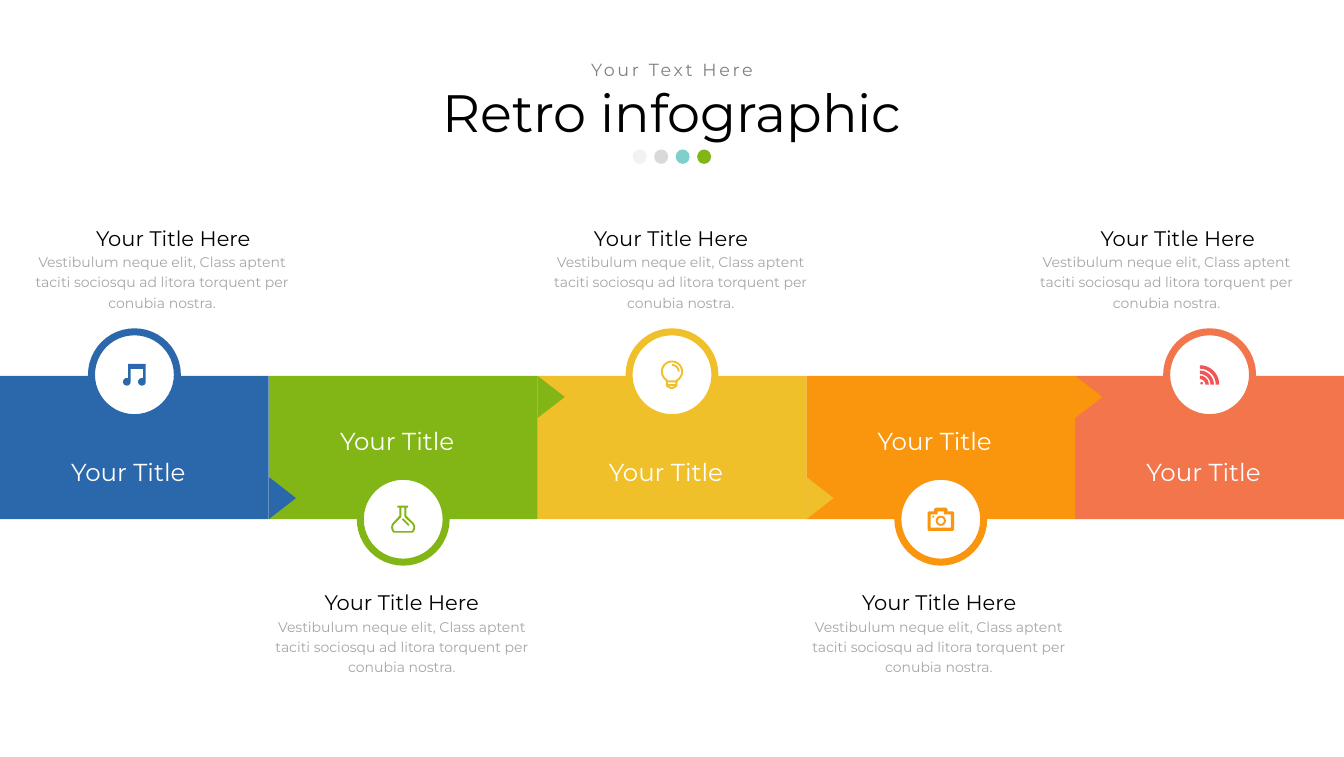
from dataclasses import dataclass
from math import cos, radians, sin

from lxml.etree import SubElement
from pptx import Presentation
from pptx.dml.color import RGBColor
from pptx.enum.shapes import MSO_SHAPE
from pptx.enum.text import MSO_ANCHOR, MSO_AUTO_SIZE, PP_ALIGN
from pptx.oxml.ns import qn
from pptx.util import Pt


@dataclass(frozen=True)
class Theme:
    """Font, type sizes and colours of the slide."""
    font: str = "Montserrat"
    title_size: int = 60
    subtitle_size: int = 20
    band_size: int = 28
    heading_size: int = 24
    body_size: int = 16
    black: str = "000000"
    white: str = "FFFFFF"
    subtitle: str = "808080"
    body: str = "A6A6A6"
    blue: str = "2B68AB"
    green: str = "82B617"
    yellow: str = "F0C02B"
    orange: str = "F9960E"
    coral: str = "F2754B"
    red: str = "F05455"
    dots: tuple = (("F2F2F2", 100), ("D9D9D9", 98), ("00A39B", 50), ("82B617", 100))


THEME = Theme()
WIDTH, HEIGHT = 1533.6, 864
BAND_TOP, BAND_HEIGHT = 429, 163.6
ICON_UNIT = 0.72
BODY = "Vestibulum neque elit, Class aptent taciti sociosqu ad litora torquent per conubia nostra."


def arc(x, y, radius, start, end):
    """Return points along an arc, with angles in degrees clockwise from the right."""
    angles = [radians(start + (end - start) * step / 24) for step in range(25)]
    return [(x + radius * cos(angle), y + radius * sin(angle)) for angle in angles]


def ring(x, y, outer, inner, start, end):
    """Return the outline of a part of a ring."""
    return arc(x, y, outer, start, end) + arc(x, y, inner, end, start)


MUSIC = [[(8, 0), (36, 0)] + arc(30, 28.5, 6, 0, 290) + [(32, 8), (12, 8)] + arc(6, 28.5, 6, 0, 290)]
FLASK = [
    [(10, 0), (27, 0), (27, 3), (24, 3), (24, 16)] + arc(27, 34.5, 11, -50, 50)
    + arc(11, 34.5, 11, 130, 230) + [(13, 16), (13, 3), (10, 3)],
    [(16, 3), (21, 3), (21, 18)] + arc(26.5, 34.5, 8.5, -45, 45)
    + arc(11.5, 34.5, 8.5, 135, 225) + [(16, 18)],
    [(29, 30), (19, 20), (17, 22), (27, 32)],
]
BULB = [
    arc(17.5, 18, 17.5, 126, 414)
    + [(26, 35), (26, 41), (24, 43), (18, 46), (16, 46), (10, 43), (8, 41), (8, 35)],
    arc(17.5, 18, 14.5, 126, 414) + [(23, 32), (11, 32)],
    ring(17.5, 18, 12, 9, 270, 360),
    [(11, 35), (23, 35), (23, 38), (11, 38)],
    [(11, 41), (23, 41), (17, 43)],
]
CAMERA = [
    [(2, 6), (10, 6), (10, 3), (13, 0), (29, 0), (32, 3), (32, 6), (40, 6),
     (42, 8), (42, 35), (40, 37), (2, 37), (0, 35), (0, 8)],
    [(5, 11), (16, 11), (16, 6), (26, 6), (26, 11), (37, 11), (37, 32), (5, 32)],
    arc(21, 21, 8, 0, 360), arc(21, 21, 5, 0, 360), arc(9, 14.5, 1.5, 0, 360),
]
FEED = [ring(0, 31, outer, outer - 5.5, 270, 360) for outer in (30.5, 22, 14)] + [arc(2.5, 29, 2, 0, 360)]


@dataclass(frozen=True)
class Step:
    """One band with its icon and the left edges of its caption."""
    color: str
    icon: list
    icon_color: str
    heading_left: float
    body_left: float


STEPS = (
    Step(THEME.blue, MUSIC, THEME.blue, 63.4, 25.2),
    Step(THEME.green, FLASK, THEME.green, 324, 298.8),
    Step(THEME.yellow, BULB, THEME.yellow, 631.4, 617),
    Step(THEME.orange, CAMERA, THEME.orange, 937.4, 911.5),
    Step(THEME.coral, FEED, THEME.red, 1209.6, 1171.4),
)


def style_shape(shape, color, opacity=100):
    """Give a shape a flat fill without line or shadow."""
    shape.shadow.inherit = False
    shape.line.fill.background()
    shape.fill.solid()
    shape.fill.fore_color.rgb = RGBColor.from_string(color)
    if opacity < 100:
        color_element = shape.fill._xPr.find(qn("a:solidFill"))[0]
        SubElement(color_element, qn("a:alpha"), val=str(opacity * 1000))


def add_shape(slide, kind, box, color, opacity=100):
    """Add a flat preset shape in a box of points."""
    shape = slide.shapes.add_shape(kind, *map(Pt, box))
    style_shape(shape, color, opacity)
    return shape


def write_text(shape, text, size, color, spacing, align=PP_ALIGN.CENTER, anchor=MSO_ANCHOR.TOP):
    """Write one formatted run into a text shape and return the run."""
    frame = shape.text_frame
    frame.word_wrap = True
    frame.auto_size = MSO_AUTO_SIZE.NONE
    frame.vertical_anchor = anchor
    paragraph = frame.paragraphs[0]
    paragraph.alignment = align
    paragraph.line_spacing = spacing
    run = paragraph.add_run()
    run.text = text
    run.font.name = THEME.font
    run.font.size = Pt(size)
    run.font.color.rgb = RGBColor.from_string(color)
    return run


def add_text(slide, box, *args, **kwargs):
    """Add a text box in a box of points and return its run."""
    return write_text(slide.shapes.add_textbox(*map(Pt, box)), *args, **kwargs)


def add_header(slide, left, top, width):
    """Place the subtitle, the title and the row of dots."""
    title = slide.shapes.title
    title.left, title.top, title.width, title.height = map(Pt, (left, top + 25.9, width, 74.2))
    write_text(title, "Retro infographic", THEME.title_size, THEME.black, 0.9, anchor=MSO_ANCHOR.MIDDLE)
    center = left + width / 2
    run = add_text(slide, (center - 228, top, 456, 25.2), "Your Text Here", THEME.subtitle_size,
                   THEME.subtitle, 0.9, anchor=MSO_ANCHOR.MIDDLE)
    run.font._element.set("spc", "300")
    for index, (color, opacity) in enumerate(THEME.dots):
        box = (center + 24.5 * (index - 1.5) - 8, top + 102.2, 16, 16.5)
        add_shape(slide, MSO_SHAPE.OVAL, box, color, opacity)


def add_icon(slide, contours, center_x, center_y, color):
    """Draw an icon outline centred on a point."""
    points = [point for contour in contours for point in contour]
    width, height = (max(values) * ICON_UNIT for values in zip(*points))
    builder = None
    for contour in contours:
        (x, y), *rest = [(100 * x, 100 * y) for x, y in contour]
        if builder is None:
            builder = slide.shapes.build_freeform(x, y, Pt(ICON_UNIT) / 100)
        else:
            builder.move_to(x, y)
        builder.add_line_segments(rest, close=True)
    shape = builder.convert_to_shape(Pt(center_x - width / 2), Pt(center_y - height / 2))
    style_shape(shape, color)


def add_band(slide, step, left, top, width, height, raised, last):
    """Place a band with its arrow, label, disc and icon."""
    add_shape(slide, MSO_SHAPE.RECTANGLE, (left, top, width, height), step.color)
    if not last:
        depth, span = 31, 48.2
        center_y = top + height - span / 2 if raised else top + span / 2
        box = (left + width + depth / 2 - span / 2, center_y - depth / 2, span, depth)
        add_shape(slide, MSO_SHAPE.ISOSCELES_TRIANGLE, box, step.color).rotation = 90
    center_x, center_y = left + width / 2, top - 1.3 if raised else top + height
    disc = add_shape(slide, MSO_SHAPE.OVAL, (center_x - 49, center_y - 49, 98, 98), THEME.white)
    disc.line.color.rgb = RGBColor.from_string(step.color)
    disc.line.width = Pt(8)
    add_icon(slide, step.icon, center_x, center_y, step.icon_color)
    label_top = top + (89.3 if raised else 53.3)
    add_text(slide, (left + 74.2, label_top, 158.4, 41), "Your Title", THEME.band_size,
             THEME.white, 1, align=PP_ALIGN.LEFT)


def add_caption(slide, step, top):
    """Place the heading and the body text of one step."""
    add_text(slide, (step.heading_left, top, 268.6, 39.6), "Your Title Here",
             THEME.heading_size, THEME.black, 1.2)
    add_text(slide, (step.body_left, top + 34.8, 319.7, 77), BODY, THEME.body_size, THEME.body, 1.2)


def main():
    """Build and save the slide."""
    presentation = Presentation()
    presentation.slide_width, presentation.slide_height = Pt(WIDTH), Pt(HEIGHT)
    slide = presentation.slides.add_slide(presentation.slide_layouts[5])
    add_header(slide, 73.4, 68.4, 1386.7)
    band_width = WIDTH / len(STEPS)
    for index, step in reversed(list(enumerate(STEPS))):
        raised = index % 2 == 0
        add_band(slide, step, index * band_width, BAND_TOP, band_width, BAND_HEIGHT,
                 raised, index == len(STEPS) - 1)
        add_caption(slide, step, 247.5 if raised else 663.3)
    presentation.save("out.pptx")


if __name__ == "__main__":
    main()
